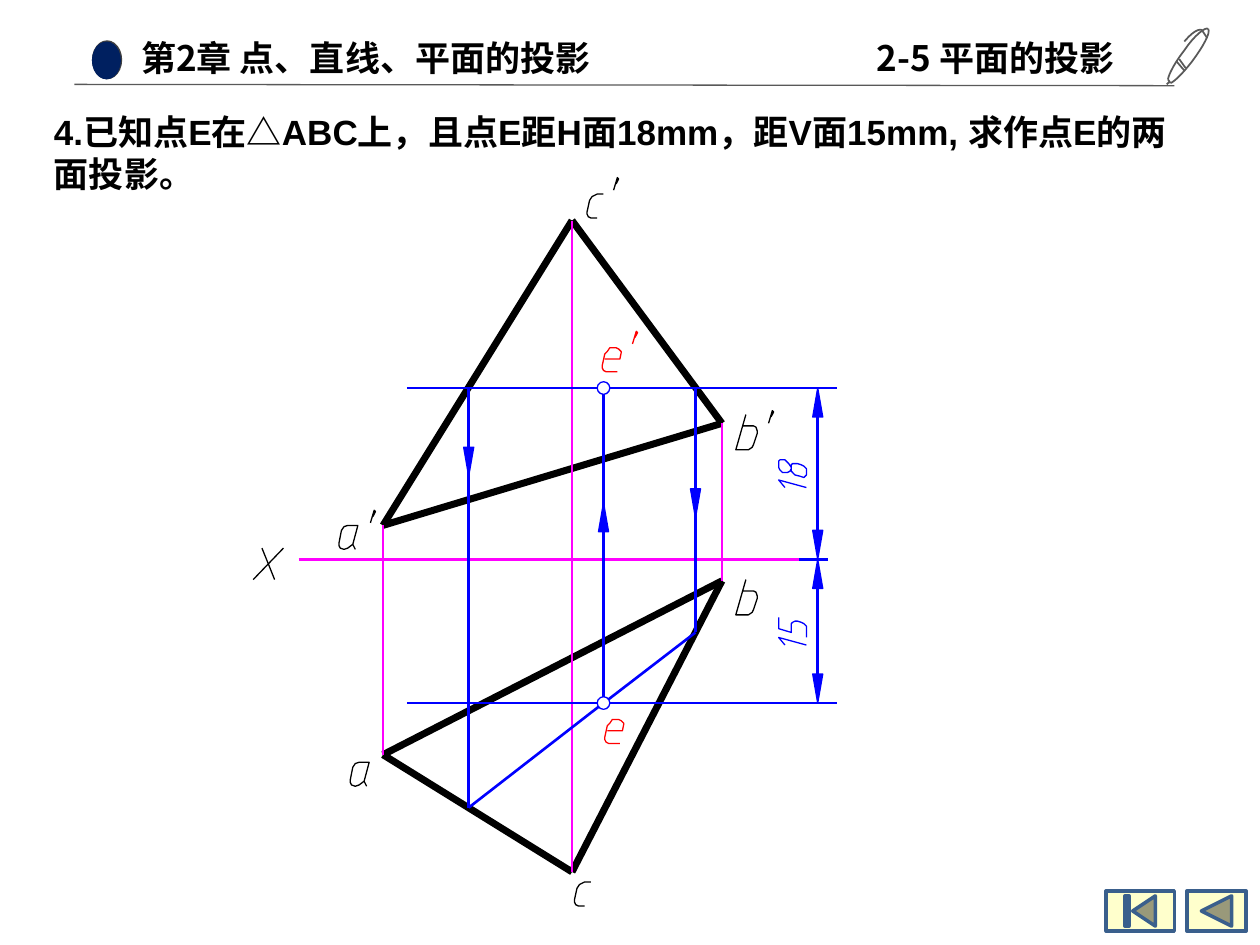
from lxml.etree import SubElement
from pptx import Presentation
from pptx.dml.color import RGBColor
from pptx.enum.shapes import MSO_CONNECTOR, MSO_SHAPE
from pptx.enum.text import MSO_ANCHOR, MSO_AUTO_SIZE as FIT, PP_ALIGN
from pptx.oxml.ns import qn
from pptx.util import Inches, Pt

COLORS = {"black": "000000", "blue": "0000FF", "magenta": "FF00FF", "red": "FF0000",
          "navy": "002060", "rim": "404040", "gray": "595959",
          "cream": "FFFFCC", "steel": "3A5F8C"}

HEADING = ("第2章 点、直线、平面的投影", (1.05, 0.25, 4.07, 0.41), "Noto Sans CJK SC",
           {"margin_left": Inches(0.07), "margin_right": Inches(0.07),
            "margin_top": Inches(0.04), "margin_bottom": Inches(0.04), "word_wrap": True})
BOXES = [
    ("4.已知点E在△ABC上，且点E距H面18mm，距V面15mm, 求作点E的两面投影。",
     (0.33, 0.83, 9.3, 0.44), "Arial", {"word_wrap": True}),
    ("2-5 平面的投影", (6.86, 0.24, 2.18, 0.44), "Noto Sans CJK SC", {"word_wrap": False}),
]
OVALS = [((0.73, 0.32, 0.24, 0.31), "rim"), ((0.73, 0.33, 0.23, 0.3), "navy")]
BUTTONS = [(MSO_SHAPE.ACTION_BUTTON_BACK_OR_PREVIOUS, (9.42, 7.07, 0.47, 0.32)),
           (MSO_SHAPE.ACTION_BUTTON_BEGINNING, (8.78, 7.07, 0.54, 0.32))]

PEN_CURVES = [
    [(9.4, 0.56), (9.34, 0.49)],
    [(9.36, 0.47), (9.41, 0.54)],
    [(9.59, 0.23), (9.57, 0.21), (9.48, 0.28), (9.4, 0.4),
     (9.33, 0.49), (9.28, 0.58), (9.27, 0.63)],
    [(9.27, 0.63), (9.29, 0.66)],
    [(9.29, 0.66), (9.32, 0.65), (9.39, 0.58), (9.46, 0.49),
     (9.55, 0.37), (9.61, 0.26), (9.59, 0.23)],
    [(9.28, 0.65), (9.26, 0.67)],
    [(9.58, 0.3), (9.58, 0.3), (9.56, 0.27), (9.54, 0.24),
     (9.54, 0.24), (9.5, 0.21), (9.4, 0.33)],
]

FRONT = {"a": (3.04, 4.17), "b": (5.73, 3.36), "c": (4.54, 1.75)}
TOP = {"a": (3.04, 5.99), "b": (5.73, 4.61), "c": (4.54, 6.92)}
EDGES = ["ba", "cb", "ac"]
AXIS, UPPER, LOWER = 4.44, 3.08, 5.58
LEFT, RIGHT, E, DIMENSION = 3.72, 5.52, 4.79, 6.49
START, END, RADIUS = 3.23, 6.64, 0.05
CUT_LEFT, CUT_RIGHT = (LEFT, 6.41), (RIGHT, 5.02)
HEAD, HALF = 0.23, 0.04

THIN_LINES = [
    ((START, UPPER), (E - RADIUS, UPPER)), ((E + RADIUS, UPPER), (END, UPPER)),
    ((START, LOWER), (E - RADIUS, LOWER)), ((E + RADIUS, LOWER), (END, LOWER)),
    ((E, LOWER - RADIUS), (E, UPPER + RADIUS)),
    ((LEFT, UPPER), CUT_LEFT), ((RIGHT, UPPER), CUT_RIGHT),
    (CUT_RIGHT, (4.83, 5.55)), ((4.75, 5.61), CUT_LEFT),
    ((DIMENSION, UPPER + HEAD), (DIMENSION, AXIS - HEAD)),
    ((DIMENSION, AXIS + HEAD), (DIMENSION, LOWER - HEAD)),
]
ARROW_TIPS = [(DIMENSION, UPPER, -1), (DIMENSION, AXIS, 1), (DIMENSION, AXIS, -1),
              (DIMENSION, LOWER, 1), (E, 3.99, -1), (RIGHT, 4.11, 1), (LEFT, 3.78, 1)]

GLYPHS = {
    "X": [[(0.07, 0), (0.17, 0.25)], [(0.24, 0), (0, 0.25)]],
    "'": [[(0, 0.1), (0.03, 0), (0.04, 0.01), (0.02, 0.05)]],
    "a": [[(0.13, 0.19), (0.11, 0.15), (0.15, 0), (0.07, 0), (0.04, 0.01), (0.02, 0.04),
           (0, 0.14), (0, 0.16), (0.01, 0.18), (0.04, 0.19), (0.07, 0.18), (0.11, 0.15)]],
    "b": [[(0.08, 0), (0, 0.28), (0.07, 0.28), (0.1, 0.28), (0.13, 0.26), (0.14, 0.24),
           (0.17, 0.15), (0.17, 0.13), (0.16, 0.1), (0.14, 0.09), (0.06, 0.09)]],
    "c": [[(0.13, 0), (0.08, 0), (0.06, 0.01), (0.04, 0.02), (0.02, 0.05), (0, 0.14),
           (0, 0.16), (0.01, 0.18), (0.03, 0.19), (0.08, 0.19)]],
    "e": [[(0.12, 0.19), (0.03, 0.19), (0.01, 0.18), (0, 0.16), (0, 0.14), (0.02, 0.05),
           (0.04, 0.03), (0.06, 0), (0.09, 0), (0.11, 0), (0.13, 0.01), (0.15, 0.03),
           (0.15, 0.04), (0.14, 0.09), (0.02, 0.09)]],
    "1": [[(0.22, 0.06), (0, 0), (0.05, 0.06)]],
    "5": [[(0.22, 0.16), (0.22, 0.1), (0.22, 0.07), (0.2, 0.05), (0.18, 0.04), (0.15, 0.03),
           (0.13, 0.03), (0.11, 0.04), (0.1, 0.05), (0.1, 0.12), (0, 0.09), (0, 0)]],
    "8": [[(0.05, 0), (0.08, 0.03), (0.1, 0.06), (0.1, 0.09), (0.13, 0.12), (0.17, 0.13),
           (0.2, 0.14), (0.22, 0.12), (0.22, 0.07), (0.2, 0.05), (0.18, 0.04), (0.15, 0.03),
           (0.11, 0.03), (0.1, 0.04), (0.1, 0.07), (0.09, 0.09), (0.07, 0.1), (0.03, 0.1),
           (0.01, 0.08), (0, 0.06), (0, 0.01), (0.01, 0), (0.05, 0)]],
}
LABELS = [
    ("X", 2.01, 4.35, "black"),
    ("a", 2.78, 6.05, "black"), ("a", 2.69, 4.17, "black"), ("'", 2.94, 4.05, "black"),
    ("b", 5.84, 4.6, "black"), ("b", 5.84, 3.29, "black"), ("'", 6.1, 3.26, "black"),
    ("c", 4.56, 7, "black"), ("c", 4.66, 1.54, "black"), ("'", 4.87, 1.41, "black"),
    ("e", 4.8, 5.71, "red"), ("e", 4.78, 2.76, "red"), ("'", 5.02, 2.63, "red"),
    ("1", 6.18, 3.81, "blue"), ("8", 6.18, 3.65, "blue"),
    ("1", 6.18, 5.06, "blue"), ("5", 6.18, 4.9, "blue"),
]


def rgb(name):
    return RGBColor.from_string(COLORS[name])


def paint(shape, fill=None, line=None, width=0):
    shape.shadow.inherit = False
    for part, color in ((shape.fill, fill), (shape.line.fill, line)):
        if color:
            part.solid()
            part.fore_color.rgb = rgb(color)
        else:
            part.background()
    if line:
        shape.line.width = Pt(width)


def add_preset(page, kind, at, **style):
    paint(page.shapes.add_shape(kind, *map(Inches, at)), **style)


def add_line(page, start, end, color, width):
    line = page.shapes.add_connector(MSO_CONNECTOR.STRAIGHT, *map(Inches, (*start, *end)))
    line.line.color.rgb = rgb(color)
    line.line.width = Pt(width)
    SubElement(line._element.spPr, qn("a:effectLst"))


def add_strokes(page, strokes, **style):
    strokes = [[(Inches(x), Inches(y)) for x, y in stroke] for stroke in strokes]
    builder = page.shapes.build_freeform(*strokes[0][0])
    for index, stroke in enumerate(strokes):
        if index:
            builder.move_to(*stroke[0])
        builder.add_line_segments(stroke[1:], close=stroke[0] == stroke[-1])
    paint(builder.convert_to_shape(), **style)


def sample(points, steps=8):
    if len(points) == 2:
        return points
    result = [points[0]]
    for first in range(0, len(points) - 1, 3):
        for step in range(1, steps + 1):
            t = step / steps
            weights = ((1 - t) ** 3, 3 * t * (1 - t) ** 2, 3 * t * t * (1 - t), t ** 3)
            result.append(tuple(sum(w * p[axis] for w, p in zip(weights, points[first:first + 4]))
                                for axis in (0, 1)))
    return result


def write(box, text, at, font, frame_format):
    box.left, box.top, box.width, box.height = map(Inches, at)
    frame = box.text_frame
    formats = {"auto_size": FIT.SHAPE_TO_FIT_TEXT, "vertical_anchor": MSO_ANCHOR.TOP}
    for key, value in {**formats, **frame_format}.items():
        setattr(frame, key, value)
    para = frame.paragraphs[0]
    para.alignment = PP_ALIGN.LEFT
    span = para.add_run()
    span.text = text
    for key, value in {"name": font, "size": Pt(20), "bold": True}.items():
        setattr(span.font, key, value)
    span.font.color.rgb = rgb("black")


def main():
    """Build the slide on the projections of a point in a plane."""
    deck = Presentation()
    deck.slide_width, deck.slide_height = Inches(10), Inches(7.5)
    page = deck.slides.add_slide(deck.slide_layouts[5])
    write(page.shapes.title, *HEADING)
    for text, at, font, frame_format in BOXES:
        box = page.shapes.add_textbox(*map(Inches, at))
        write(box, text, at, font, frame_format)
    for at, color in OVALS:
        add_preset(page, MSO_SHAPE.OVAL, at, fill=color)
    add_line(page, (0.59, 0.67), (9.32, 0.68), "gray", 0.75)
    add_strokes(page, [sample(curve) for curve in PEN_CURVES], line="gray", width=1)

    for view in (FRONT, TOP):
        for start, end in EDGES:
            add_line(page, view[start], view[end], "black", 4)
    add_line(page, (2.37, AXIS), (6.57, AXIS), "magenta", 1.5)
    for corner in FRONT:
        add_line(page, FRONT[corner], TOP[corner], "magenta", 1.5)
    for start, end in THIN_LINES:
        add_line(page, start, end, "blue", 1.5)
    add_line(page, (6.34, AXIS), (6.57, AXIS), "blue", 0)
    for x, y, direction in ARROW_TIPS:
        base = y - direction * HEAD
        add_strokes(page, [[(x - HALF, base), (x + HALF, base), (x, y), (x - HALF, base)]],
                    fill="blue", line="blue")
    for y in (UPPER, LOWER):
        add_preset(page, MSO_SHAPE.OVAL, (E - RADIUS, y - RADIUS, 2 * RADIUS, 2 * RADIUS),
                   line="blue")
    for letter, left, top, color in LABELS:
        strokes = [[(left + x, top + y) for x, y in stroke] for stroke in GLYPHS[letter]]
        add_strokes(page, strokes, line=color)
    for kind, at in BUTTONS:
        add_preset(page, kind, at, fill="cream", line="steel", width=2)
    deck.save("out.pptx")


if __name__ == "__main__":
    main()
